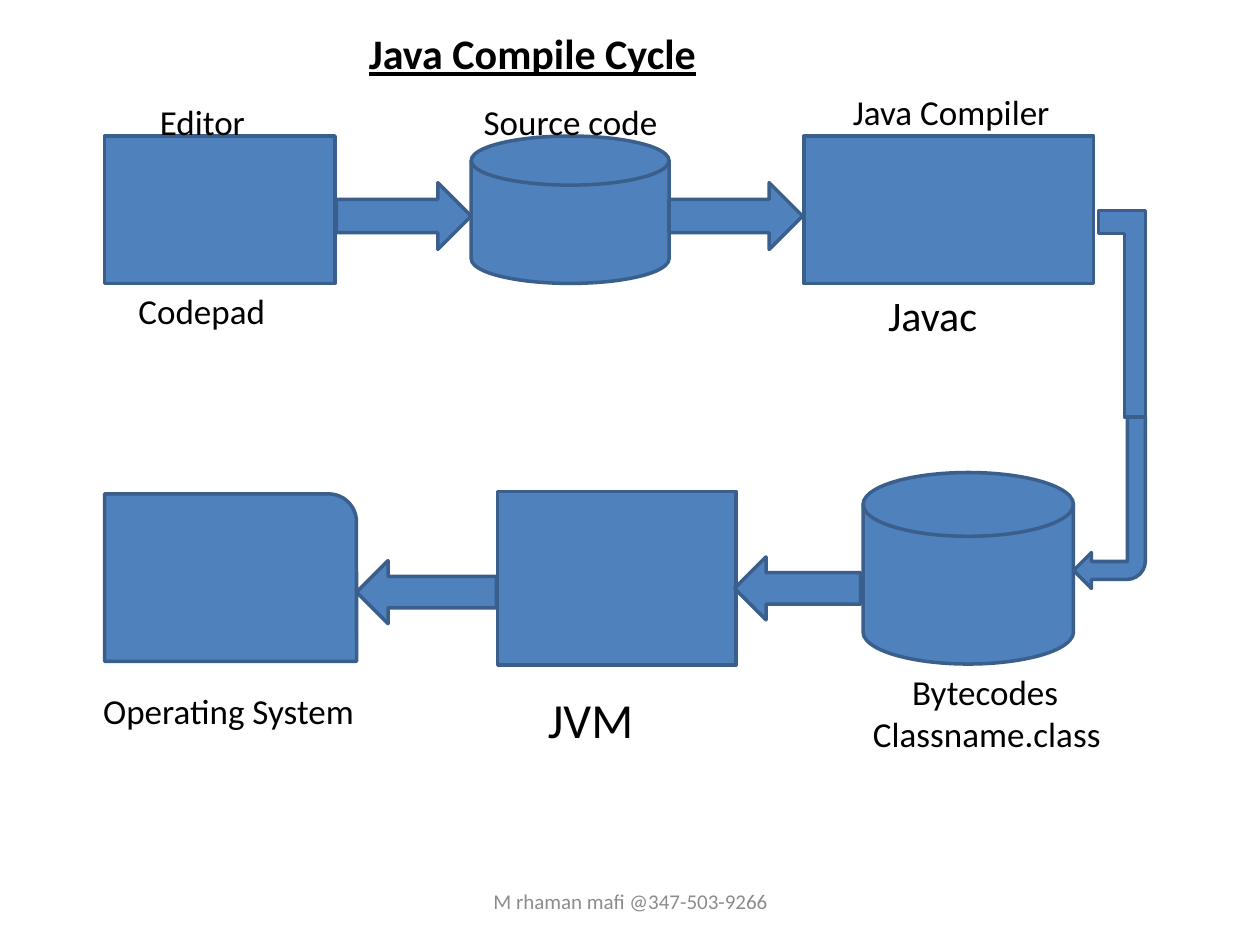
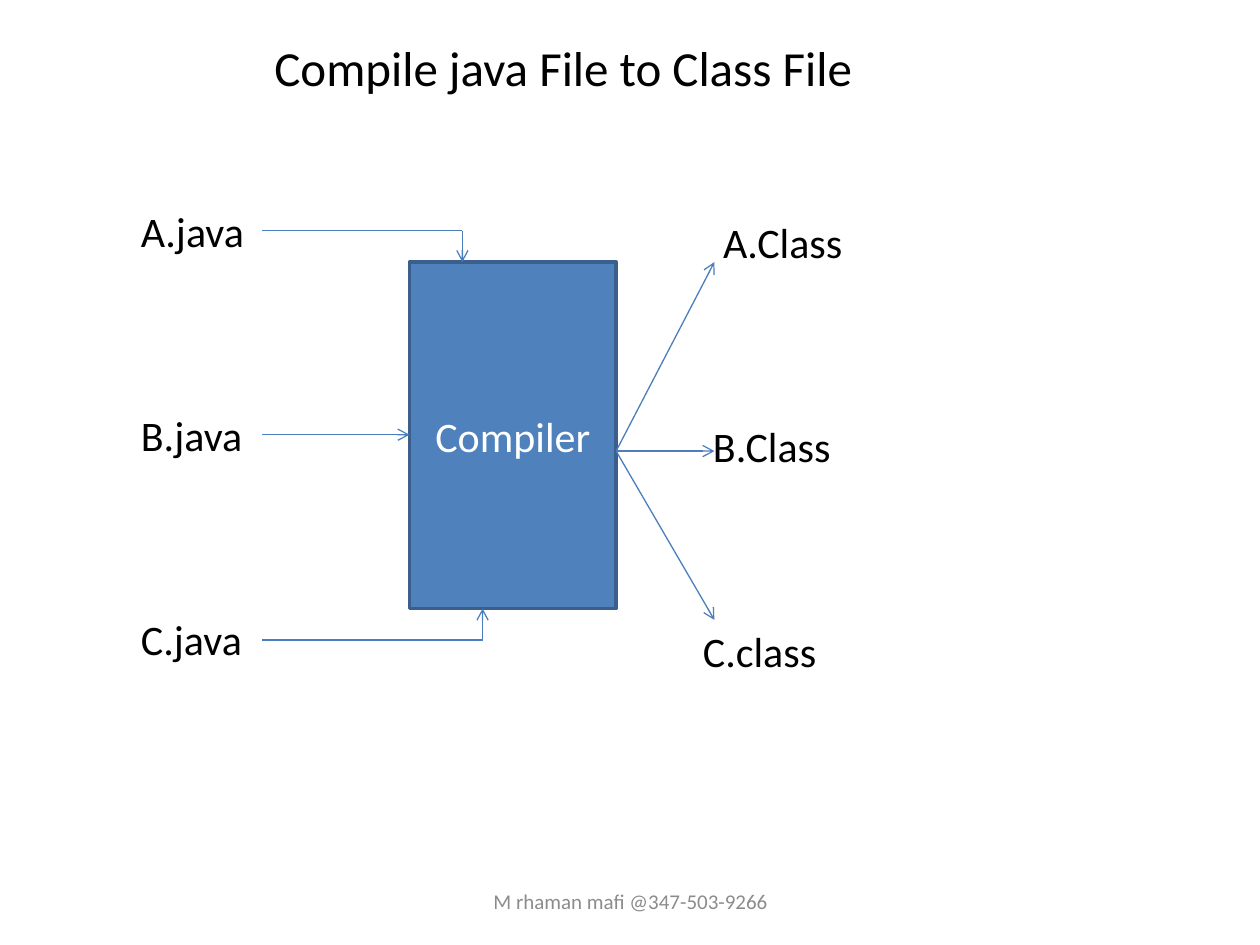
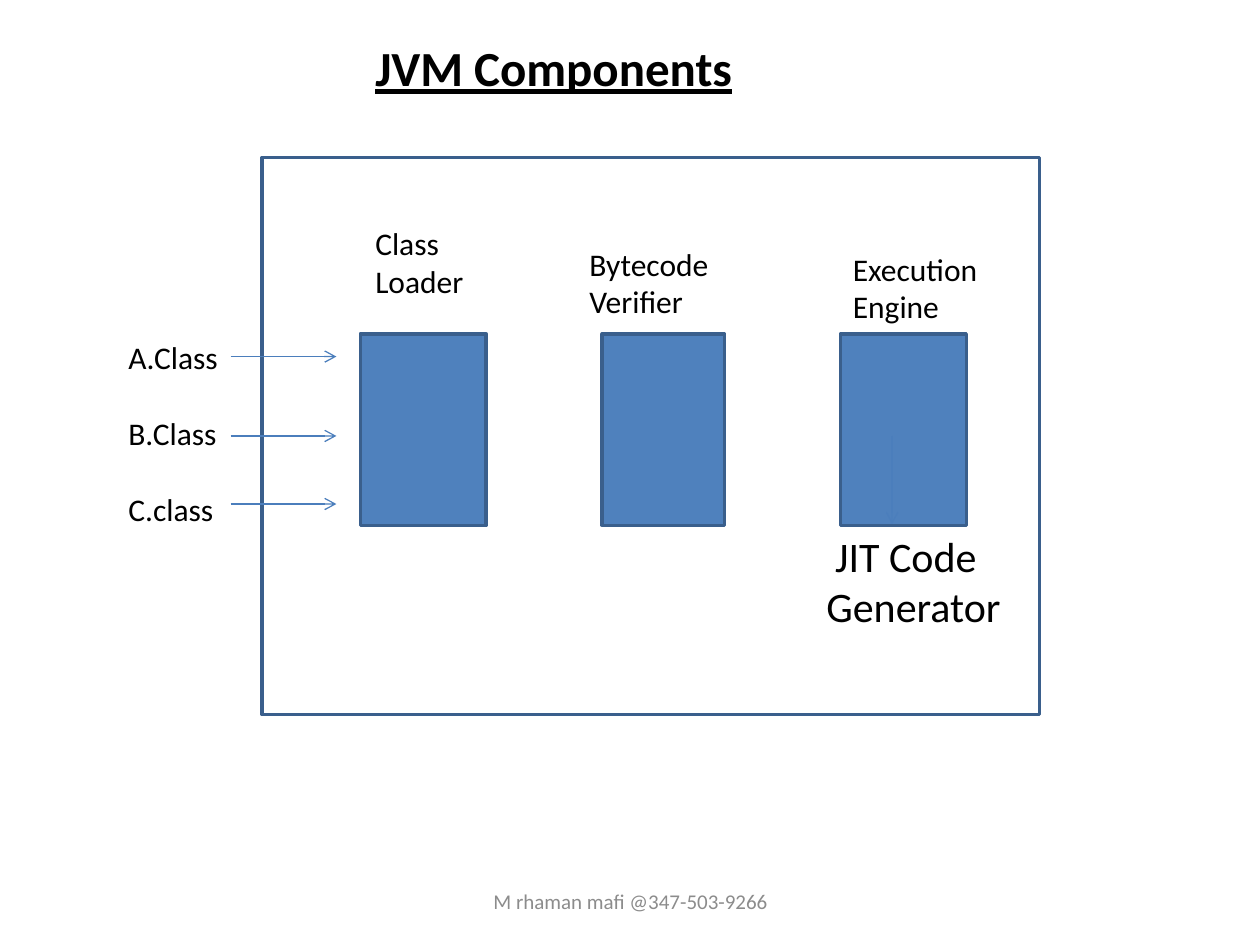
from dataclasses import dataclass

from lxml import etree
from pptx import Presentation
from pptx.dml.color import RGBColor
from pptx.enum.shapes import MSO_CONNECTOR, MSO_SHAPE
from pptx.enum.text import MSO_ANCHOR, MSO_AUTO_SIZE, PP_ALIGN
from pptx.oxml.ns import qn
from pptx.util import Inches, Pt

RECT = MSO_SHAPE.RECTANGLE
DISK = MSO_SHAPE.FLOWCHART_MAGNETIC_DISK
ROUND_CORNER = MSO_SHAPE.ROUND_1_RECTANGLE
RIGHT_ARROW, LEFT_ARROW = MSO_SHAPE.RIGHT_ARROW, MSO_SHAPE.LEFT_ARROW
BENT_ARROW = MSO_SHAPE.BENT_ARROW
STRAIGHT = MSO_CONNECTOR.STRAIGHT
TOP, MIDDLE, BOTTOM = MSO_ANCHOR.TOP, MSO_ANCHOR.MIDDLE, MSO_ANCHOR.BOTTOM
LEFT, CENTER = PP_ALIGN.LEFT, PP_ALIGN.CENTER
GROW, FIXED = MSO_AUTO_SIZE.SHAPE_TO_FIT_TEXT, MSO_AUTO_SIZE.NONE


@dataclass(frozen=True)
class Theme:
    """Colours, type sizes and line widths shared by all slides."""
    font: str = "Calibri"
    fill: str = "4F81BD"
    outline: str = "3A5F8C"
    arrow: str = "4B7EBC"
    ink: str = "000000"
    paper: str = "FFFFFF"
    muted: str = "8C8C8C"
    title: int = 28
    large: int = 24
    label: int = 20
    small: int = 18
    footer: int = 12
    line_height: float = 1.22
    outline_width: float = 2
    arrow_width: float = 0.75


@dataclass(frozen=True)
class Box:
    """A rectangle on the page, in inches."""
    left: float
    top: float
    width: float
    height: float

    def inner(self, left, top, width, height):
        """Return a box whose position is relative to this one."""
        return Box(self.left + left, self.top + top, width, height)

    def point(self, left, top):
        """Return a page point given relative to this box."""
        return self.left + left, self.top + top

    def lengths(self):
        """Return the four sides as lengths."""
        return [Inches(v) for v in (self.left, self.top, self.width, self.height)]


THEME = Theme()
FOOTER = "M rhaman mafi @347-503-9266"


def color(value):
    """Turn a hex string into a colour."""
    return RGBColor.from_string(value)


def write(frame, text, size=THEME.label, ink=THEME.ink, bold=False, underline=False,
          align=LEFT, anchor=TOP, fit=GROW, wrap=True, gap_lines=0, indents=()):
    """Fill a text frame, one paragraph a line, with blank line heights between."""
    frame.word_wrap, frame.auto_size, frame.vertical_anchor = wrap, fit, anchor
    for i, line in enumerate(text.split("\n")):
        para = frame.add_paragraph() if i else frame.paragraphs[0]
        para.alignment = align
        if i and gap_lines:
            para.space_before = Pt(round(gap_lines * size * THEME.line_height))
        if indents:
            para._p.get_or_add_pPr().set("marL", str(Inches(indents[i])))
        span = para.add_run()
        span.text = line
        span.font.name, span.font.size = THEME.font, Pt(size)
        span.font.bold, span.font.underline = bold, underline
        span.font.color.rgb = color(ink)


def add_text(page, box, text, **form):
    """Place a text box."""
    write(page.shapes.add_textbox(*box.lengths()).text_frame, text, **form)


def add_block(page, kind, box, fill=THEME.fill, rotation=0, adjust=()):
    """Place an outlined preset shape."""
    shape = page.shapes.add_shape(kind, *box.lengths())
    shape.shadow.inherit = False
    shape.fill.solid()
    shape.fill.fore_color.rgb = color(fill)
    shape.line.color.rgb = color(THEME.outline)
    shape.line.width = Pt(THEME.outline_width)
    shape.rotation = rotation
    for i, value in enumerate(adjust):
        shape.adjustments[i] = value
    return shape


def add_corner(page, box, rotation, **adjust):
    """Place an L-shaped corner, a preset that MSO_SHAPE does not list."""
    shape = add_block(page, RECT, box, rotation=rotation)
    geometry = shape._element.spPr.find(qn("a:prstGeom"))
    geometry.set("prst", "corner")
    guides = geometry.find(qn("a:avLst"))
    for name, value in adjust.items():
        etree.SubElement(guides, qn("a:gd"), name=name, fmla=f"val {value}")


def add_line(page, start, end, arrow=True):
    """Draw a thin line, with an open arrowhead at its end if asked."""
    line = page.shapes.add_connector(STRAIGHT, *[Inches(v) for v in (*start, *end)])
    line.line.color.rgb = color(THEME.arrow)
    line.line.width = Pt(THEME.arrow_width)
    if arrow:
        etree.SubElement(line.line._get_or_add_ln(), qn("a:tailEnd"), type="arrow")
    etree.SubElement(line._element.spPr, qn("a:effectLst"))


def add_page(deck, title, box, **form):
    """Add a blank page with its title and the shared footer."""
    page = deck.slides.add_slide(deck.slide_layouts[6])
    page.background.fill.solid()
    page.background.fill.fore_color.rgb = color(THEME.paper)
    add_text(page, box, title, **form)
    add_text(page, Box(3.42, 6.95, 3.17, 0.4), FOOTER, size=THEME.footer,
             ink=THEME.muted, align=CENTER, anchor=MIDDLE, fit=FIXED)
    return page


def draw_stages(page, box, stages):
    """Draw a row of stages given as (kind, left, top, width, height)."""
    for kind, *place in stages:
        add_block(page, kind, box.inner(*place))


def draw_flow(page, box, kind, arrows, height):
    """Draw the block arrows of a row, given as (left, top, width)."""
    for left, top, width in arrows:
        add_block(page, kind, box.inner(left, top, width, height))


def draw_source_row(page, box):
    """Draw the steps from editor to compiler."""
    draw_stages(page, box, [(RECT, 0, 0, 1.83, box.height),
                            (DISK, 2.91, 0, 1.57, box.height),
                            (RECT, 5.55, 0, 2.3, box.height)])
    draw_flow(page, box, RIGHT_ARROW, [(1.84, 0.37, 1.07), (4.48, 0.37, 1.06)], 0.53)
    add_text(page, box.inner(0.34, -0.33, 0.88, 0.44), "Editor", wrap=False)
    add_text(page, box.inner(2.91, -0.33, 1.93, 0.44), "Source code")
    add_text(page, box.inner(5.84, -0.41, 2.13, 0.44), "Java Compiler")
    add_text(page, box.inner(0.17, box.height, 1.25, 0.44), "Codepad")
    add_text(page, box.inner(6.12, box.height, 1.56, 0.5), "Javac", size=THEME.large)


def draw_run_row(page, box):
    """Draw the steps from bytecode back to the operating system."""
    draw_stages(page, box, [(DISK, 6.02, 0, 1.67, 1.52),
                            (RECT, 3.12, 0.15, 1.89, 1.38),
                            (ROUND_CORNER, 0, 0.17, 2, 1.33)])
    draw_flow(page, box, LEFT_ARROW, [(5, 0.67, 1), (2, 0.7, 1.11)], 0.5)
    add_text(page, box.inner(6, 1.52, 2.25, 0.77), "Bytecodes\nClassname.class",
             indents=(0.31, 0))
    add_text(page, box.inner(3.42, 1.67, 1.42, 0.57), "JVM", size=THEME.title)
    add_text(page, box.inner(-0.11, 1.67, 2.37, 0.44), "Operating System")


def draw_return_bend(page, box):
    """Draw the bend that leads from the upper row to the lower one."""
    upper, lower = 1.64, 1.36
    add_block(page, BENT_ARROW, box.inner(0, upper, box.width, lower), rotation=180,
              adjust=(0.25, 0.25, 0.25, 0.26))
    add_corner(page, box.inner(box.width - 0.37, 0, 0.37, upper), 180,
               adj1=50000, adj2=45000)


def draw_compiler(page, box):
    """Draw the compiler with source files at its left and class files at its right."""
    sources = "\n".join(f"{name}.java" for name in "ABC")
    add_text(page, box.inner(-2.23, -0.5, 7.75, 3.74), sources, size=THEME.large,
             gap_lines=3)
    compiler = add_block(page, RECT, box)
    write(compiler.text_frame, "Compiler", size=THEME.large, ink=THEME.paper,
          align=CENTER, anchor=MIDDLE, fit=FIXED)
    add_text(page, box.inner(2.08, -0.41, 1.58, 3.74), "A.Class\nB.Class\nC.class",
             size=THEME.large, gap_lines=3, indents=(0.31, 0.23, 0.15))
    start = -1.17
    add_line(page, box.point(start, 1.37), box.point(0, 1.37))
    for turn, level, edge in ((0.42, -0.25, 0), (0.58, box.height + 0.25, box.height)):
        add_line(page, box.point(start, level), box.point(turn, level), arrow=False)
        add_line(page, box.point(turn, level), box.point(turn, edge))
    for level in (0, 1.5, 2.84):
        add_line(page, box.point(box.width, 1.5), box.point(box.width + 0.78, level))


def draw_machine(page, box):
    """Draw the virtual machine frame with its three components."""
    add_block(page, RECT, box, fill=THEME.paper)
    for left, width in ((0.78, 1), (2.7, 0.97), (4.59, 1)):
        add_block(page, RECT, box.inner(left, 1.4, width, 1.52))
    add_text(page, box.inner(3.25, 2.91, 2.92, 0.91), "JIT Code\nGenerator",
             size=THEME.large, indents=(1.2, 1.13))
    add_line(page, box.point(5, 2.21), box.point(5, 2.91))
    for text, *place in (("Class Loader", 0.8, 0.47, 0.98, 0.71),
                         ("Bytecode Verifier", 2.5, 0.33, 1.33, 1.01),
                         ("Execution Engine", 4.59, 0.37, 1.42, 1.01)):
        add_text(page, box.inner(*place), text, size=THEME.small, anchor=BOTTOM,
                 fit=FIXED)


def draw_class_files(page, box):
    """List the class files and point each one to the class loader."""
    add_text(page, box, "A.Class\nB.Class\nC.class", size=THEME.small, anchor=BOTTOM,
             fit=FIXED, gap_lines=1)
    for level in (1.11, 1.74, 2.28):
        add_line(page, box.point(0.91, level), box.point(1.75, level))


def build():
    """Build the three slides and save the deck."""
    deck = Presentation()
    deck.slide_width, deck.slide_height = Inches(10), Inches(7.5)

    page = add_page(deck, "Java Compile Cycle", Box(2.83, 0.17, 4.9, 0.5),
                    size=THEME.large, bold=True, underline=True)
    draw_source_row(page, Box(0.83, 1.08, 7.85, 1.17))
    draw_run_row(page, Box(0.83, 3.75, 7.69, 1.53))
    draw_return_bend(page, Box(8.52, 1.67, 0.57, 3))

    page = add_page(deck, "Compile java File to Class File",
                    Box(2.08, 0.25, 5.08, 0.57), size=THEME.title)
    draw_compiler(page, Box(3.25, 2.08, 1.64, 2.75))

    page = add_page(deck, "JVM Components", Box(2.88, 0.25, 3.78, 0.57),
                    size=THEME.title, bold=True, underline=True)
    draw_machine(page, Box(2.08, 1.25, 6.17, 4.42))
    draw_class_files(page, Box(0.92, 1.72, 2.45, 2.52))

    deck.save("out.pptx")


build()
